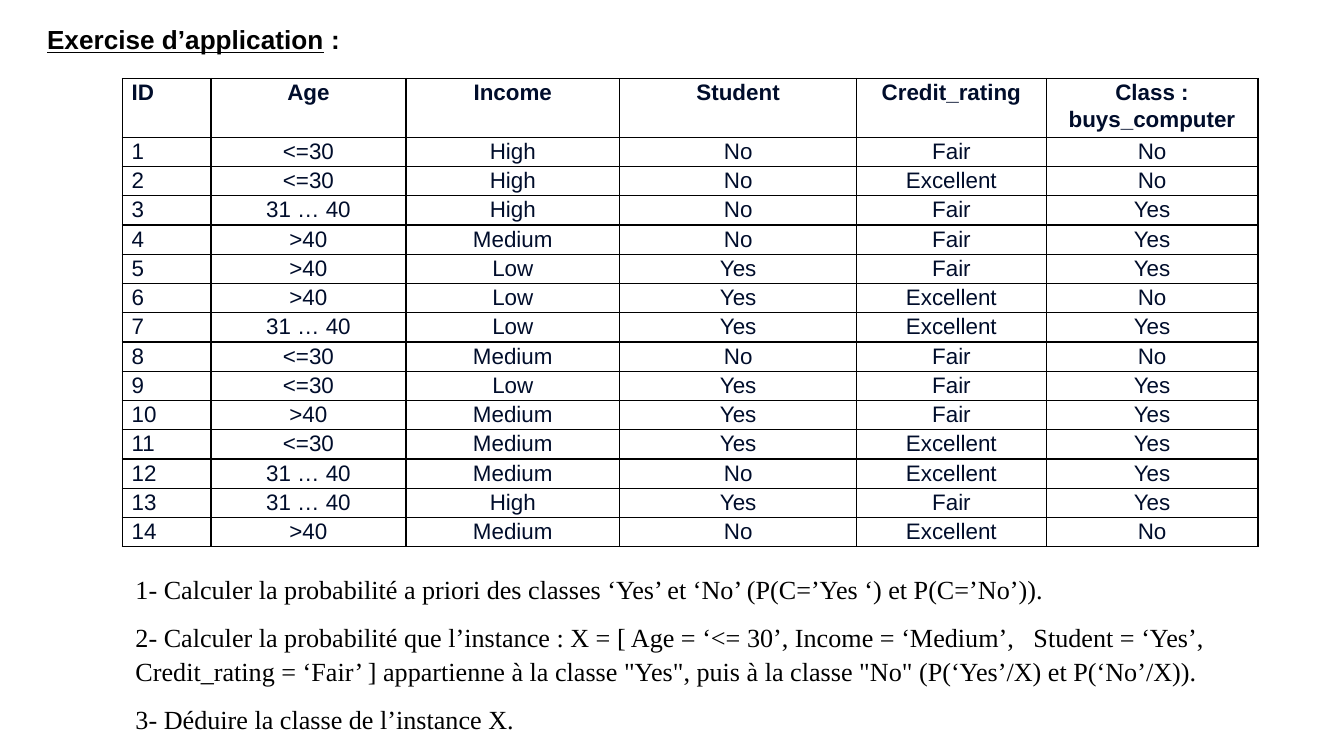
from lxml.etree import SubElement
from pptx import Presentation
from pptx.dml.color import RGBColor
from pptx.enum.text import MSO_ANCHOR, MSO_AUTO_SIZE, PP_ALIGN
from pptx.oxml.ns import qn
from pptx.util import Pt

BLACK = RGBColor(0x00, 0x00, 0x00)
NAVY = RGBColor(0x00, 0x0D, 0x2B)

COLUMN_WIDTHS = [47.5, 104.5, 114.5, 127, 101.5, 113.5]
HEADER_HEIGHT = 31.5
ROW_HEIGHT = 15.7
HEADERS = ["ID", "Age", "Income", "Student", "Credit_rating", "Class : buys_computer"]
CUSTOMERS = [
    ("<=30", "High", "No", "Fair", "No"),
    ("<=30", "High", "No", "Excellent", "No"),
    ("31 … 40", "High", "No", "Fair", "Yes"),
    (">40", "Medium", "No", "Fair", "Yes"),
    (">40", "Low", "Yes", "Fair", "Yes"),
    (">40", "Low", "Yes", "Excellent", "No"),
    ("31 … 40", "Low", "Yes", "Excellent", "Yes"),
    ("<=30", "Medium", "No", "Fair", "No"),
    ("<=30", "Low", "Yes", "Fair", "Yes"),
    (">40", "Medium", "Yes", "Fair", "Yes"),
    ("<=30", "Medium", "Yes", "Excellent", "Yes"),
    ("31 … 40", "Medium", "No", "Excellent", "Yes"),
    ("31 … 40", "High", "Yes", "Fair", "Yes"),
    (">40", "Medium", "No", "Excellent", "No"),
]
QUESTIONS = [
    "1- Calculer la probabilité a priori des classes ‘Yes’ et ‘No’ (P(C=’Yes ‘) et P(C=’No’)).",
    "2- Calculer la probabilité que l’instance : X = [ Age = ‘<= 30’, Income = ‘Medium’,   Student = ‘Yes’, "
    "Credit_rating = ‘Fair’ ] appartienne à la classe \"Yes\", puis à la classe \"No\" (P(‘Yes’/X) et P(‘No’/X)).",
    "3- Déduire la classe de l’instance X.",
]


def format_paragraph(paragraph, font_name, size, color, bold=False):
    paragraph.line_spacing = 1.07
    paragraph.space_after = Pt(8)
    paragraph.font.name = font_name
    paragraph.font.size = Pt(size)
    paragraph.font.color.rgb = color
    paragraph.font.bold = bold


def add_borders(cell):
    properties = cell._tc.get_or_add_tcPr()
    for index, side in enumerate(("a:lnL", "a:lnR", "a:lnT", "a:lnB")):
        line = properties.makeelement(qn(side), {"w": str(Pt(0.75))})
        fill = SubElement(line, qn("a:solidFill"))
        SubElement(fill, qn("a:srgbClr"), val=str(BLACK))
        properties.insert(index, line)


presentation = Presentation()
presentation.slide_width = Pt(720)
presentation.slide_height = Pt(405)
slide = presentation.slides.add_slide(presentation.slide_layouts[5])

# Heading
title = slide.shapes.title
title.left, title.top, title.width, title.height = Pt(18), Pt(8.9), Pt(182), Pt(24.3)
title.text_frame.word_wrap = False
title.text_frame.auto_size = MSO_AUTO_SIZE.NONE
title.text_frame.vertical_anchor = MSO_ANCHOR.TOP
paragraph = title.text_frame.paragraphs[0]
paragraph.alignment = PP_ALIGN.LEFT
paragraph.font.name = "Arial"
paragraph.font.size = Pt(14)
paragraph.font.bold = True
paragraph.font.color.rgb = BLACK
for text, underline in (("Exercise d’application", True), (" :", False)):
    run = paragraph.add_run()
    run.text = text
    run.font.underline = underline

# Training data
rows = [HEADERS] + [(str(number), *values) for number, values in enumerate(CUSTOMERS, 1)]
table = slide.shapes.add_table(
    len(rows), len(HEADERS), Pt(65.5), Pt(42), Pt(sum(COLUMN_WIDTHS)),
    Pt(HEADER_HEIGHT + ROW_HEIGHT * len(CUSTOMERS)),
).table
table.first_row = False
table.horz_banding = False
for column, width in zip(table.columns, COLUMN_WIDTHS):
    column.width = Pt(width)
for row_index, values in enumerate(rows):
    is_header = row_index == 0
    table.rows[row_index].height = Pt(HEADER_HEIGHT if is_header else ROW_HEIGHT)
    for column_index, value in enumerate(values):
        cell = table.cell(row_index, column_index)
        cell.text = value
        cell.margin_left = cell.margin_right = Pt(5)
        cell.margin_top = cell.margin_bottom = Pt(0)
        cell.fill.background()
        add_borders(cell)
        paragraph = cell.text_frame.paragraphs[0]
        paragraph.alignment = PP_ALIGN.CENTER if column_index else PP_ALIGN.LEFT
        format_paragraph(paragraph, "Arial", 12, NAVY, bold=is_header)

# Questions
questions_box = slide.shapes.add_textbox(Pt(65.5), Pt(302.4), Pt(648), Pt(95))
text_frame = questions_box.text_frame
text_frame.word_wrap = True
text_frame.text = "\n".join(QUESTIONS)
for paragraph in text_frame.paragraphs:
    format_paragraph(paragraph, "Times New Roman", 14, BLACK)

presentation.save("out.pptx")
